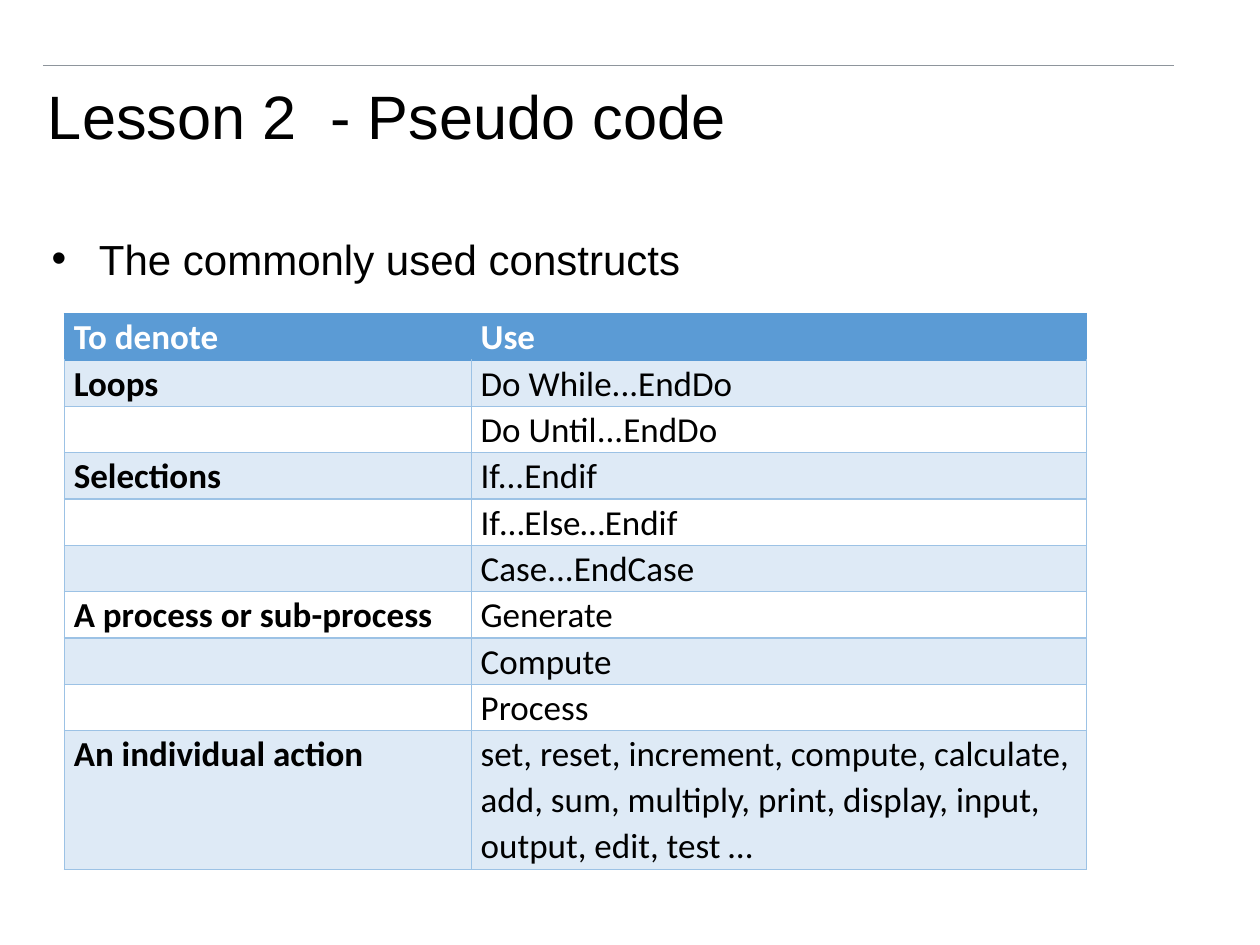
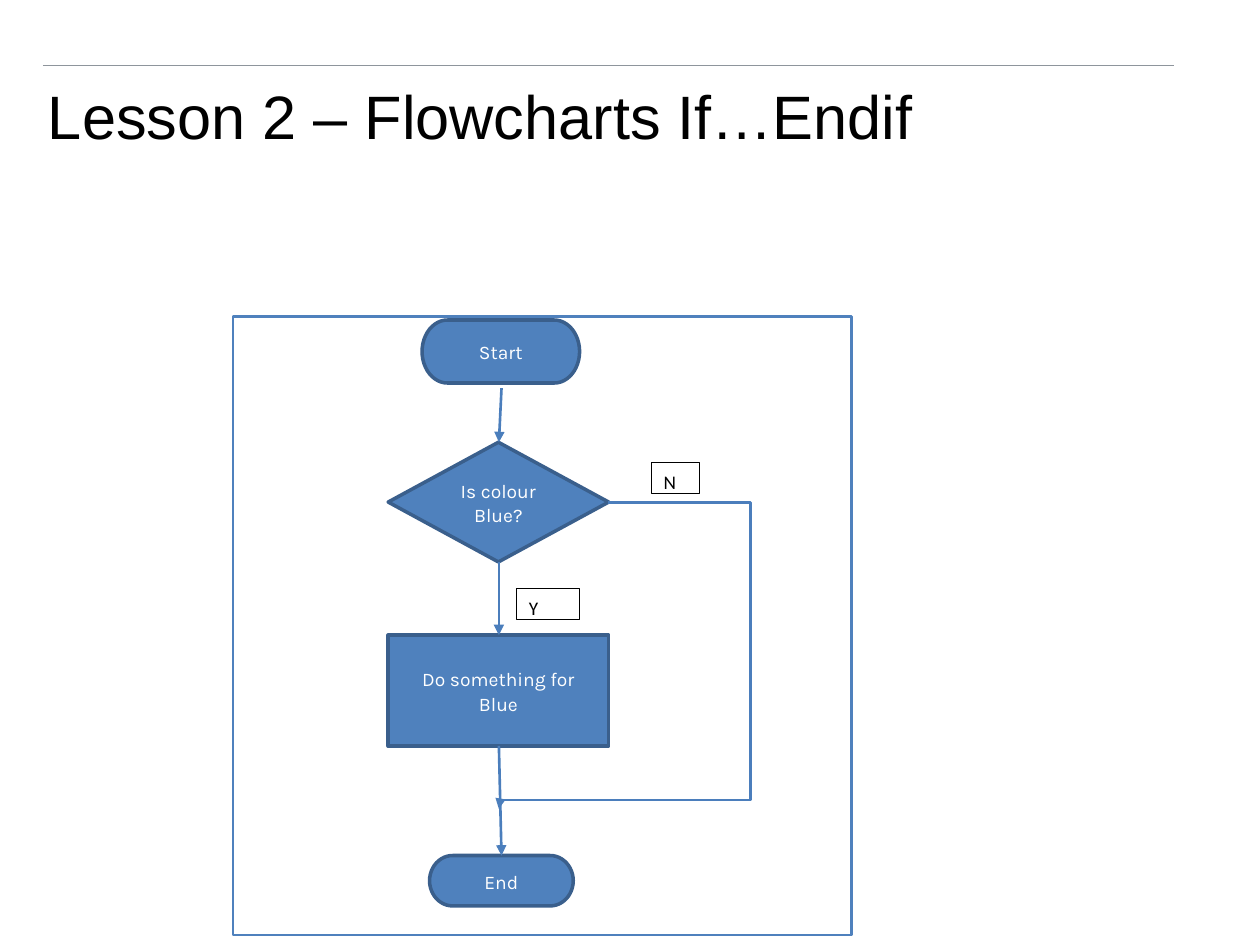
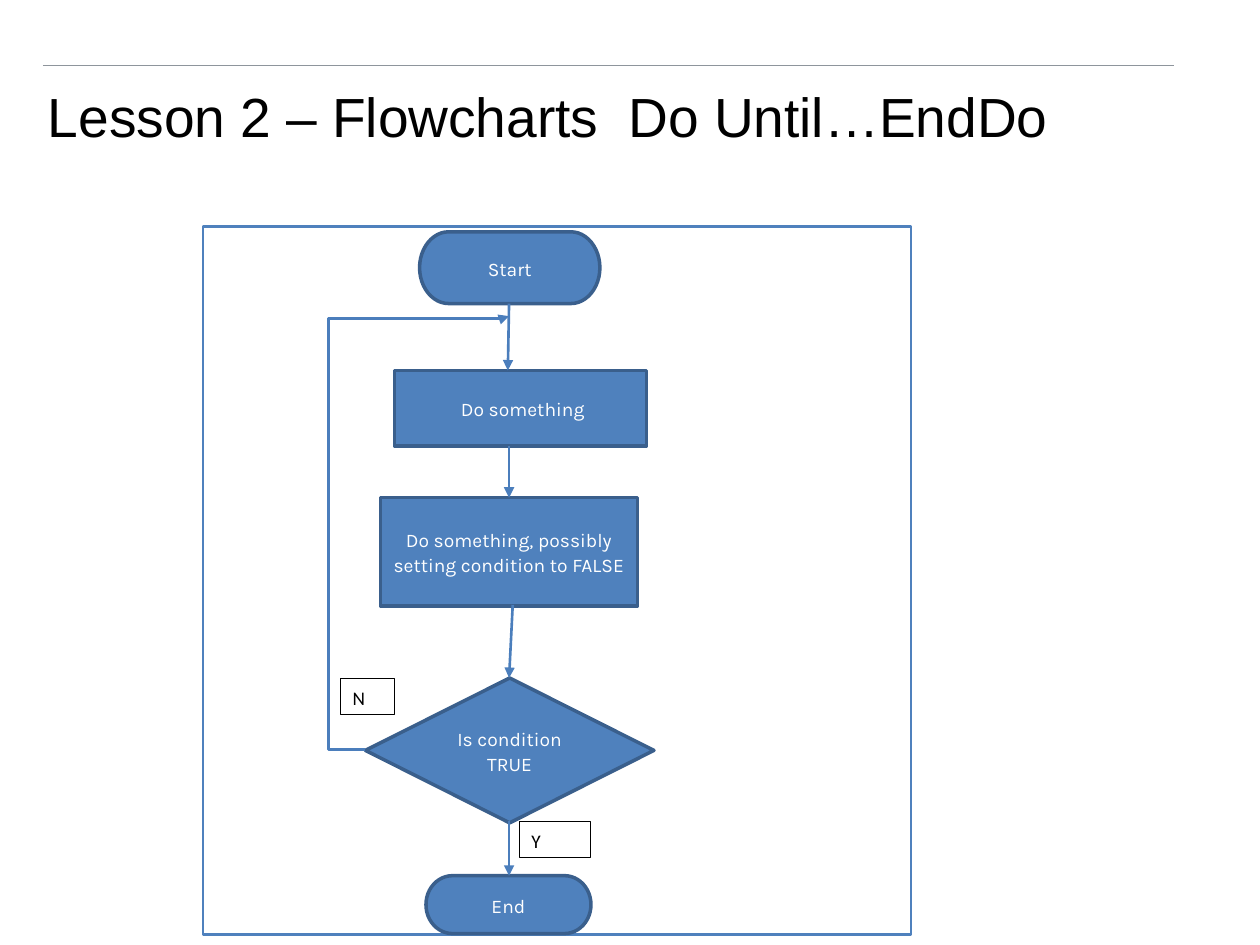
"""Build three lesson slides on pseudo code and flowcharts."""
from dataclasses import dataclass

from lxml import etree
from pptx import Presentation
from pptx.dml.color import RGBColor
from pptx.enum import shapes, text
from pptx.oxml import ns
from pptx.util import Pt


@dataclass(frozen=True)
class Theme:
    """Colours, fonts and type sizes of the lesson."""
    ink: str = "000000"
    paper: str = "FFFFFF"
    rule: str = "8E959C"
    node: str = "4F81BD"
    node_edge: str = "3A5F8C"
    arrow: str = "4B7EBC"
    header: str = "5B9BD5"
    band: str = "DEEAF6"
    grid: str = "9CC2E5"
    heading_font: str = "Arial"
    table_font: str = "Calibri"
    node_font: str = "Karla"
    title_size: float = 35
    long_title_size: float = 31.5
    body_size: float = 24
    table_size: float = 20
    node_size: float = 11
    line_spacing: float = 1.07


THEME = Theme()
TERMINATOR = shapes.MSO_SHAPE.FLOWCHART_TERMINATOR
DECISION = shapes.MSO_SHAPE.FLOWCHART_DECISION
PROCESS = shapes.MSO_SHAPE.FLOWCHART_PROCESS

CONSTRUCTS = [
    ("To denote", "Use"),
    ("Loops", "Do While...EndDo"),
    ("", "Do Until...EndDo"),
    ("Selections", "If...Endif"),
    ("", "If…Else…Endif"),
    ("", "Case...EndCase"),
    ("A process or sub-process", "Generate"),
    ("", "Compute"),
    ("", "Process"),
    ("An individual action",
     "set, reset, increment, compute, calculate, add, sum, multiply, print, "
     "display, input, output, edit, test …"),
]


def rgb(value):
    """Turn a hex string into a colour."""
    return RGBColor.from_string(value)


def points(*lengths):
    """Turn plain numbers into lengths in points."""
    return [Pt(length) for length in lengths]


def style_font(paragraph, name, size, color, bold=False):
    """Set the font of a paragraph."""
    font = paragraph.font
    font.name, font.size, font.bold = name, Pt(size), bold
    font.color.rgb = rgb(color)


def place(shape, box):
    """Move and size a shape."""
    shape.left, shape.top, shape.width, shape.height = points(*box)


def add_line(canvas, start, end, color, width, kind=shapes.MSO_CONNECTOR.STRAIGHT):
    """Draw a plain connector without a shadow."""
    line = canvas.shapes.add_connector(kind, *points(*start, *end))
    line.line.color.rgb = rgb(color)
    line.line.width = Pt(width)
    etree.SubElement(line.element.spPr, ns.qn("a:effectLst"))
    return line


def add_arrow(chart, start, end, kind=shapes.MSO_CONNECTOR.STRAIGHT):
    """Draw a connector that ends in a triangle."""
    arrow = add_line(chart, start, end, THEME.arrow, 1.5, kind)
    outline = arrow.line._get_or_add_ln()
    etree.SubElement(outline, ns.qn("a:tailEnd"), type="triangle")
    return arrow


def add_bypass(chart, start, end, corner):
    """Draw a bent arrow that passes through the x and y of an outer corner."""
    arrow = add_arrow(chart, start, end, shapes.MSO_CONNECTOR.ELBOW)
    geometry = arrow.element.spPr.find(ns.qn("a:prstGeom"))
    geometry.set("prst", "bentConnector4")
    guides = geometry.find(ns.qn("a:avLst"))
    for number, (first, last, bend) in enumerate(zip(start, end, corner), 1):
        share = round((bend - first) / (last - first) * 100000)
        etree.SubElement(guides, ns.qn("a:gd"), name=f"adj{number}", fmla=f"val {share}")


def add_box(chart, kind, box, fill, edge, width):
    """Draw a flat shape, hollow if no fill is given."""
    shape = chart.shapes.add_shape(kind, *points(*box))
    shape.shadow.inherit = False
    if fill:
        shape.fill.solid()
        shape.fill.fore_color.rgb = rgb(fill)
    else:
        shape.fill.background()
    shape.line.color.rgb = rgb(edge)
    shape.line.width = Pt(width)
    return shape


def write_box(shape, words, font, color, align, anchor):
    """Write one paragraph in a flowchart shape."""
    frame = shape.text_frame
    frame.word_wrap = True
    frame.vertical_anchor = anchor
    paragraph = frame.paragraphs[0]
    paragraph.text = words
    paragraph.alignment = align
    paragraph.line_spacing = THEME.line_spacing
    paragraph.space_after = Pt(8)
    style_font(paragraph, font, THEME.node_size, color)


def add_node(chart, kind, words, box):
    """Draw one step of a flowchart."""
    shape = add_box(chart, kind, box, THEME.node, THEME.node_edge, 2)
    write_box(shape, words, THEME.node_font, THEME.paper,
              text.PP_ALIGN.CENTER, text.MSO_ANCHOR.MIDDLE)


def add_answer(chart, words, box):
    """Draw the label of a branch."""
    shape = add_box(chart, shapes.MSO_SHAPE.RECTANGLE, box, THEME.paper, THEME.ink, 0.5)
    write_box(shape, words, THEME.table_font, THEME.ink,
              text.PP_ALIGN.LEFT, text.MSO_ANCHOR.TOP)


def add_flowchart(slide, frame, nodes, arrows, bypass, answers):
    """Draw a framed flowchart as one group."""
    chart = slide.shapes.add_group_shape()
    add_box(chart, shapes.MSO_SHAPE.RECTANGLE, frame, None, THEME.node, 1.5)
    for node in nodes:
        add_node(chart, *node)
    for arrow in arrows:
        add_arrow(chart, *arrow)
    add_bypass(chart, *bypass)
    for answer in answers:
        add_answer(chart, *answer)


def border_cell(cell, colors):
    """Set the left, right, top and bottom borders of a cell."""
    properties = cell._tc.get_or_add_tcPr()
    for side, color in zip("LRTB", colors):
        line = etree.SubElement(properties, ns.qn(f"a:ln{side}"), w=str(Pt(1)))
        fill = etree.SubElement(line, ns.qn("a:solidFill"))
        etree.SubElement(fill, ns.qn("a:srgbClr"), val=color)


def fill_cell(cell, words, row, column):
    """Write and colour one cell by its place in the table."""
    edge = THEME.grid if row else THEME.header
    border_cell(cell, (edge, edge, THEME.grid if row > 1 else THEME.header, edge))
    if row % 2 or row == 0:
        cell.fill.solid()
        cell.fill.fore_color.rgb = rgb(THEME.band if row else THEME.header)
    else:
        cell.fill.background()
    cell.margin_left = cell.margin_right = Pt(5.4)
    cell.margin_top = cell.margin_bottom = 0
    paragraph = cell.text_frame.paragraphs[0]
    paragraph.text = words
    paragraph.line_spacing = THEME.line_spacing
    style_font(paragraph, THEME.table_font, THEME.table_size,
               THEME.ink if row else THEME.paper, bold=row == 0 or column == 0)


def add_construct_table(slide, rows, box, widths, heights):
    """Draw the table of constructs."""
    table = slide.shapes.add_table(len(rows), len(widths), *points(*box)).table
    table.first_row = table.horz_banding = False
    for column, width in zip(table.columns, widths):
        column.width = Pt(width)
    for row, height in zip(table.rows, heights):
        row.height = Pt(height)
    for row, entries in enumerate(rows):
        for column, words in enumerate(entries):
            fill_cell(table.cell(row, column), words, row, column)


def fill_placeholder(placeholder, words, box, size):
    """Place a placeholder and write one left-aligned paragraph in it."""
    place(placeholder, box)
    placeholder.text_frame.auto_size = text.MSO_AUTO_SIZE.NONE
    paragraph = placeholder.text_frame.paragraphs[0]
    paragraph.text = words
    paragraph.alignment = text.PP_ALIGN.LEFT
    style_font(paragraph, THEME.heading_font, size, THEME.ink)


def add_slide(presentation, layout, title, size=THEME.title_size):
    """Add a slide with its title."""
    slide = presentation.slides.add_slide(presentation.slide_layouts.get_by_name(layout))
    fill_placeholder(slide.shapes.title, title, (20.2, 20.9, 648, 90), size)
    return slide


def add_master_rule(presentation, slide):
    """Draw the top rule and hand it to the slide master."""
    rule = add_line(slide, (24.5, 37.4), (671, 37.4), THEME.rule, 0.75)
    presentation.slide_master.shapes.element.append(rule.element)


def add_pseudo_code(presentation):
    """Build the slide of constructs."""
    slide = add_slide(presentation, "Title and Content", "Lesson 2  - Pseudo code")
    add_master_rule(presentation, slide)
    fill_placeholder(slide.placeholders[1], "The commonly used constructs",
                     (22.3, 129.6, 648, 404.6), THEME.body_size)
    add_construct_table(slide, CONSTRUCTS, (36.8, 179.2, 584, 317.9),
                        (232.5, 351.5), [26.5] * 9 + [79.4])


def add_if_endif(presentation):
    """Build the slide of the selection."""
    slide = add_slide(presentation, "Title Only", "Lesson 2 – Flowcharts If…Endif")
    axis = 285.1
    add_flowchart(
        slide,
        frame=(133.2, 180.7, 353.5, 353.5),
        nodes=[
            (TERMINATOR, "Start", (241.2, 182.9, 90, 36)),
            (DECISION, "Is colour Blue?", (221.8, 252.7, 126, 68.4)),
            (PROCESS, "Do something for Blue", (221.8, 362.9, 126, 63.4)),
            (TERMINATOR, "End", (245.5, 488.9, 82.1, 28.8)),
        ],
        arrows=[
            ((286.6, 221.8), (axis, 252.7)),
            ((axis, 321.1), (axis, 362.9)),
            ((axis, 426.2), (286.6, 488.9)),
        ],
        bypass=((347.4, 287.1), (axis, 462.2), (429.1, 457.2)),
        answers=[
            ("Y", (295.2, 336.2, 36, 18)),
            ("N", (372.2, 264.2, 27.4, 18)),
        ],
    )


def add_do_until(presentation):
    """Build the slide of the loop."""
    slide = add_slide(presentation, "Title Only", "Lesson 2 – Flowcharts  Do Until…EndDo",
                      THEME.long_title_size)
    axis = 290.9
    add_flowchart(
        slide,
        frame=(115.9, 129.6, 404.6, 404.6),
        nodes=[
            (TERMINATOR, "Start", (239.8, 132.5, 103, 41)),
            (PROCESS, " Do something", (225.4, 211.7, 144, 43.2)),
            (PROCESS, "Do something, possibly setting condition to FALSE",
             (217.4, 284.4, 146.9, 61.9)),
            (DECISION, "Is condition TRUE", (208.8, 387.4, 164.9, 82.8)),
            (TERMINATOR, "End", (243.4, 500.4, 94.3, 33.1)),
        ],
        arrows=[
            ((axis, 173.5), (290.2, 211.7)),
            ((axis, 254.9), (axis, 284.4)),
            ((293, 345.6), (axis, 387.4)),
            ((axis, 469.4), (axis, 500.4)),
        ],
        bypass=((208.8, 428.4), (axis, 180.7), (187.9, 182.2)),
        answers=[
            ("Y", (296.6, 469.4, 41, 20.9)),
            ("N", (194.4, 387.4, 31, 20.9)),
        ],
    )


def main():
    """Build and save the presentation."""
    presentation = Presentation()
    presentation.slide_width, presentation.slide_height = points(720, 540)
    add_pseudo_code(presentation)
    add_if_endif(presentation)
    add_do_until(presentation)
    presentation.save("out.pptx")


if __name__ == "__main__":
    main()
